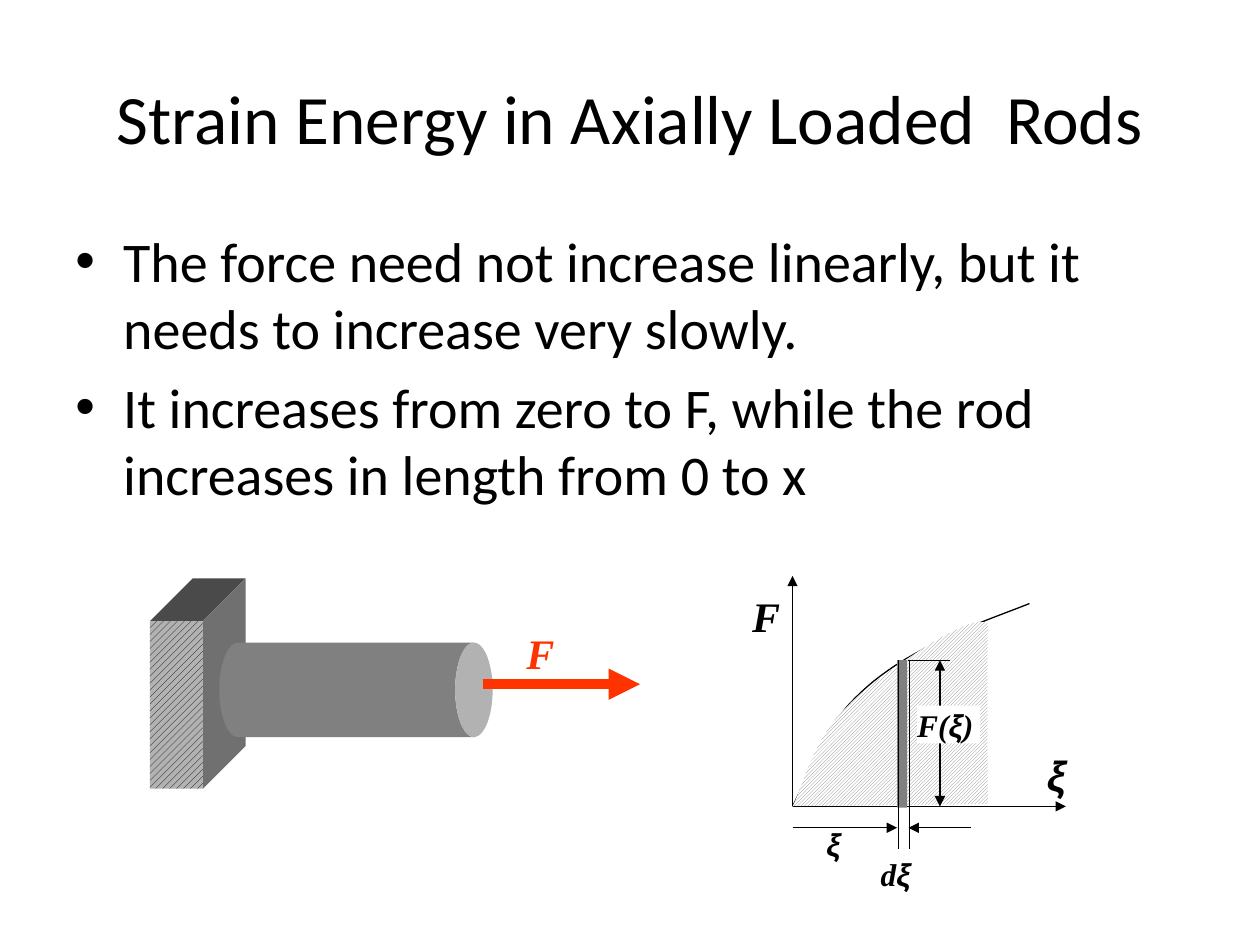
from lxml import etree
from pptx import Presentation
from pptx.dml.color import RGBColor
from pptx.enum.dml import MSO_PATTERN
from pptx.enum.shapes import MSO_CONNECTOR, MSO_SHAPE
from pptx.enum.text import MSO_ANCHOR, PP_ALIGN
from pptx.oxml.ns import qn
from pptx.util import Inches, Pt

BLACK = RGBColor(0x00, 0x00, 0x00)
WHITE = RGBColor(0xFF, 0xFF, 0xFF)
GRAY = RGBColor(0x80, 0x80, 0x80)
WALL_FRONT = RGBColor(0xB2, 0xB2, 0xB2)
WALL_TOP = RGBColor(0x4A, 0x4A, 0x4A)
WALL_SIDE = RGBColor(0x70, 0x70, 0x70)
RED = RGBColor(0xFF, 0x33, 0x00)
SERIF, SANS, BODY_FONT = "Times New Roman", "Arial", "Calibri"
STRAIGHT = MSO_CONNECTOR.STRAIGHT
RECTANGLE, CAN = MSO_SHAPE.RECTANGLE, MSO_SHAPE.CAN
WIDE_DIAGONAL = MSO_PATTERN.WIDE_UPWARD_DIAGONAL
DARK_DIAGONAL = MSO_PATTERN.DARK_UPWARD_DIAGONAL
MIDDLE, CENTER = MSO_ANCHOR.MIDDLE, PP_ALIGN.CENTER

prs = Presentation()
prs.slide_width, prs.slide_height = Inches(10), Inches(7.5)
shapes = prs.slides.add_slide(prs.slide_layouts[6]).shapes


def add_line(start, end, color=BLACK, width=0.75, ends=()):
    """Draw a line; ends holds "headEnd" and "tailEnd" for arrowheads."""
    line = shapes.add_connector(STRAIGHT, *map(Inches, start + end))
    line.line.color.rgb = color
    line.line.width = Pt(width)
    outline = line.line._get_or_add_ln()
    for end_tag in ends:
        etree.SubElement(outline, qn(f"a:{end_tag}"), type="triangle")
    etree.SubElement(line._element.spPr, qn("a:effectLst"))


def add_outline(points, closed):
    """Draw a shape through points given in inches."""
    corners = [(Inches(x), Inches(y)) for x, y in points]
    builder = shapes.build_freeform(*corners[0])
    builder.add_line_segments(corners[1:], close=closed)
    outline = builder.convert_to_shape()
    outline.shadow.inherit = False
    return outline


# Title and bullets
title = shapes.add_textbox(Inches(0.5), Inches(0.3), Inches(9), Inches(1.25)).text_frame
title.word_wrap = True
title.vertical_anchor = MIDDLE
title.paragraphs[0].alignment = CENTER
run = title.paragraphs[0].add_run()
run.text = "Strain Energy in Axially Loaded  Rods"
run.font.name, run.font.size, run.font.color.rgb = BODY_FONT, Pt(39.6), BLACK

body = shapes.add_textbox(Inches(0.5), Inches(1.75), Inches(9), Inches(4.95)).text_frame
body.word_wrap = True
bullets = [
    "The force need not increase linearly, but it needs to increase very slowly.",
    "It increases from zero to F, while the rod increases in length from 0 to x",
]
for index, text in enumerate(bullets):
    paragraph = body.add_paragraph() if index else body.paragraphs[0]
    paragraph.space_before = Pt(6.4)
    properties = paragraph._p.get_or_add_pPr()
    properties.set("marL", str(Inches(0.38)))
    properties.set("indent", str(Inches(-0.38)))
    etree.SubElement(properties, qn("a:buFont"), typeface=SANS)
    etree.SubElement(properties, qn("a:buChar"), char="•")
    run = paragraph.add_run()
    run.text = text
    run.font.name, run.font.size, run.font.color.rgb = BODY_FONT, Pt(32), BLACK

# Wall: hatched front with a top and a side face receding up to the right
left, right, top, bottom, depth = 1.19, 1.61, 4.93, 6.26, 0.34
wall_faces = [
    ([(left, top), (left + depth, top - depth), (right + depth, top - depth), (right, top)],
     WALL_TOP),
    ([(right, top), (right + depth, top - depth), (right + depth, bottom - depth),
      (right, bottom)], WALL_SIDE),
]
for corners, color in wall_faces:
    face = add_outline(corners, closed=True)
    face.fill.solid()
    face.fill.fore_color.rgb = color
    face.line.fill.background()
front = shapes.add_shape(RECTANGLE, Inches(left), Inches(top),
                         Inches(right - left), Inches(bottom - top))
front.shadow.inherit = False
front.fill.patterned()
front.fill.pattern = WIDE_DIAGONAL
front.fill.fore_color.rgb, front.fill.back_color.rgb = BLACK, WALL_FRONT
front.line.fill.background()

# Rod and its load
rod = shapes.add_shape(CAN, Inches(2.45), Inches(4.39), Inches(0.75), Inches(2.17))
rod.rotation = 90
rod.adjustments[0] = 0.397
rod.shadow.inherit = False
rod.fill.solid()
rod.fill.fore_color.rgb = GRAY
rod.line.fill.background()
add_line((3.83, 5.43), (5.08, 5.43), RED, 6, ["tailEnd"])

# Force-displacement graph
origin = (6.29, 6.4)
add_line(origin, (6.29, 4.57), ends=["tailEnd"])
add_line(origin, (8.46, 6.4), ends=["tailEnd"])

force_curve = [
    [(6.36, 6.27), (6.54, 5.82), (6.72, 5.61)],
    [(6.9, 5.41), (7.1, 5.27), (7.35, 5.14)],
    [(7.59, 5), (8, 4.86), (8.17, 4.79)],
]
energy_area = [
    [(6.36, 6.27), (6.46, 5.85), (6.72, 5.61)],
    [(6.9, 5.41), (7.74, 4.82), (7.84, 4.95)],
    [(7.83, 5.66), (7.84, 6.09), (7.84, 6.38)],
]
STEPS = 16
for beziers, hatched in [(force_curve, False), (energy_area, True)]:
    points = [origin]
    for control_1, control_2, end in beziers:
        start = points[-1]
        for step in range(1, STEPS + 1):
            t = step / STEPS
            weights = (1 - t) ** 3, 3 * t * (1 - t) ** 2, 3 * t * t * (1 - t), t ** 3
            points.append(tuple(
                sum(w * c for w, c in zip(weights, axis))
                for axis in zip(start, control_1, control_2, end)))
    curve = add_outline(points, closed=hatched)
    if hatched:
        curve.fill.patterned()
        curve.fill.pattern = DARK_DIAGONAL
        curve.fill.fore_color.rgb, curve.fill.back_color.rgb = GRAY, WHITE
        curve.line.fill.background()
    else:
        curve.fill.background()
        curve.line.color.rgb = BLACK
        curve.line.width = Pt(0.75)

strip = shapes.add_shape(RECTANGLE, Inches(7.12), Inches(5.24), Inches(0.08), Inches(1.17))
strip.shadow.inherit = False
strip.fill.solid()
strip.fill.fore_color.rgb = GRAY
strip.line.fill.background()

# Dimension lines
add_line((6.29, 6.57), (7.12, 6.57), ends=["tailEnd"])
add_line((7.71, 6.57), (7.21, 6.57), ends=["tailEnd"])
for x in (7.13, 7.22):
    add_line((x, 5.24), (x, 6.74))
add_line((7.21, 5.24), (7.54, 5.24))
add_line((7.46, 6.4), (7.46, 5.24), ends=["headEnd", "tailEnd"])

# Symbols: box, size, colour, boxed in white, runs
symbols = [
    ((4.08, 4.93, 0.42, 0.5), 24, RED, False, [("F", SERIF)]),
    ((5.87, 4.64, 0.42, 0.5), 24, BLACK, False, [("F", SERIF)]),
    ((8.21, 5.9, 0.42, 0.5), 24, BLACK, False, [("ξ", SANS)]),
    ((6.89, 6.74, 0.5, 0.4), 18, BLACK, False, [("d", SERIF), ("ξ", SANS)]),
    ((6.46, 6.5, 0.32, 0.4), 18, BLACK, False, [("ξ", SANS)]),
    ((7.28, 5.6, 0.5, 0.3), 18, BLACK, True, [("F(", SERIF), ("ξ", SANS), (")", SERIF)]),
]
for box, size, color, boxed, parts in symbols:
    symbol = shapes.add_textbox(*map(Inches, box))
    frame = symbol.text_frame
    frame.word_wrap = True
    if boxed:
        symbol.fill.solid()
        symbol.fill.fore_color.rgb = WHITE
        frame.margin_left = frame.margin_right = frame.margin_top = frame.margin_bottom = 0
    for text, font_name in parts:
        run = frame.paragraphs[0].add_run()
        run.text = text
        run.font.name, run.font.size, run.font.color.rgb = font_name, Pt(size), color
        run.font.bold = run.font.italic = True

prs.save("out.pptx")
